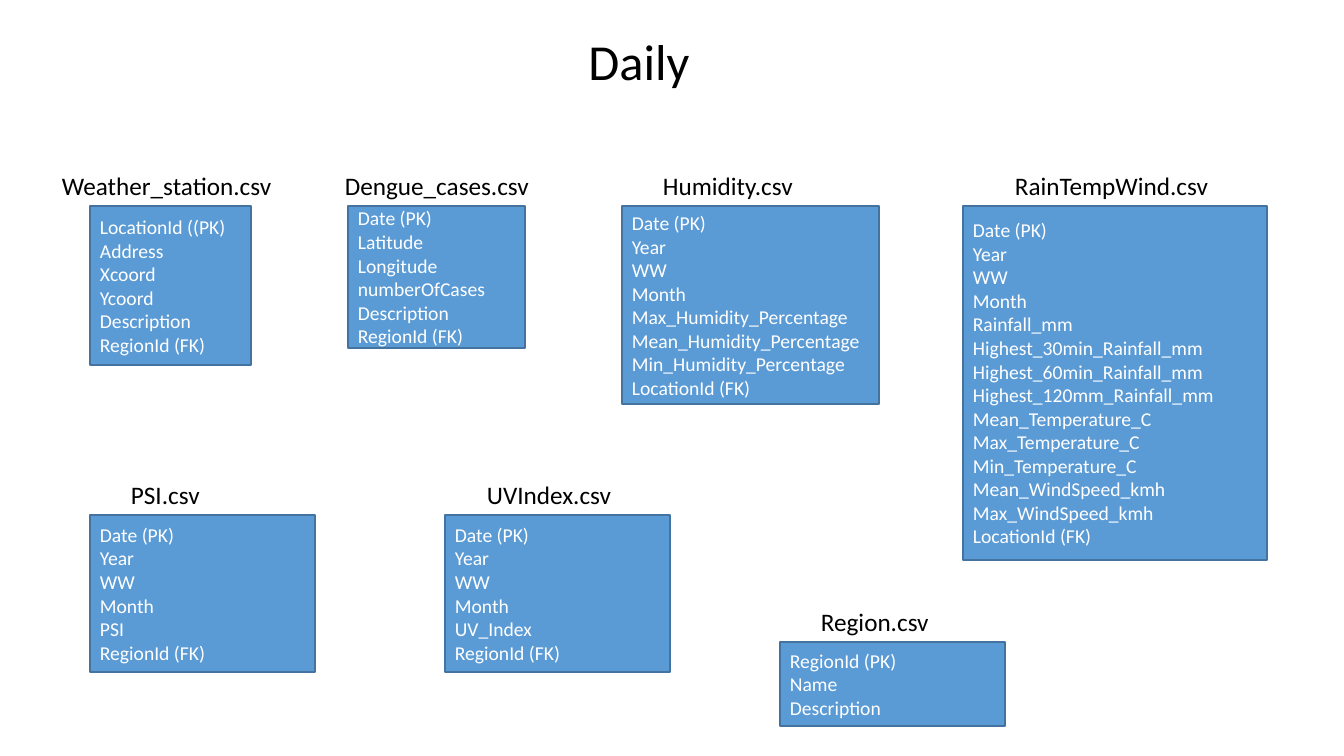
"""Build the slide of daily CSV tables with their columns and keys."""
import pptx
import pptx.dml.color
import pptx.enum.shapes
import pptx.enum.text
import pptx.util

PX = 12192000 / 1344
BLUE = pptx.dml.color.RGBColor(0x5B, 0x9B, 0xD5)
DARK_BLUE = pptx.dml.color.RGBColor(0x43, 0x73, 0x9E)
WHITE = pptx.dml.color.RGBColor(0xFF, 0xFF, 0xFF)
BLACK = pptx.dml.color.RGBColor(0x00, 0x00, 0x00)
LEFT = pptx.enum.text.PP_ALIGN.LEFT
CENTER = pptx.enum.text.PP_ALIGN.CENTER
LABEL_HEIGHT = 40
LABEL_RISE = 41


def px(*lengths):
    return [pptx.util.Emu(round(length * PX)) for length in lengths]


def write_lines(shape, lines, size, color, alignment=LEFT):
    frame = shape.text_frame
    frame.word_wrap = True
    for index, line in enumerate(lines):
        paragraph = frame.add_paragraph() if index else frame.paragraphs[0]
        paragraph.alignment = alignment
        run = paragraph.add_run()
        run.text = line
        run.font.name = "Calibri"
        run.font.size = pptx.util.Pt(size)
        run.font.color.rgb = color


presentation = pptx.Presentation()
presentation.slide_width, presentation.slide_height = px(1344, 756)
slide = presentation.slides.add_slide(presentation.slide_layouts[6])

DATE_COLUMNS = ["Date (PK)", "Year", "WW", "Month"]
tables = [
    ("Weather_station.csv", (52, 236), (90, 206, 161, 159),
     ["LocationId ((PK)", "Address", "Xcoord", "Ycoord", "Description", "RegionId (FK)"]),
    ("Dengue_cases.csv", (335, 207), (348, 206, 177, 142),
     ["Date (PK)", "Latitude", "Longitude", "numberOfCases", "Description", "RegionId (FK)"]),
    ("Humidity.csv", (653, 207), (622, 206, 257, 198),
     DATE_COLUMNS + ["Max_Humidity_Percentage", "Mean_Humidity_Percentage",
                     "Min_Humidity_Percentage", "LocationId (FK)"]),
    ("RainTempWind.csv", (1005, 234), (963, 206, 304, 354),
     DATE_COLUMNS + ["Rainfall_mm", "Highest_30min_Rainfall_mm", "Highest_60min_Rainfall_mm",
                     "Highest_120mm_Rainfall_mm", "Mean_Temperature_C", "Max_Temperature_C",
                     "Min_Temperature_C", "Mean_WindSpeed_kmh", "Max_WindSpeed_kmh",
                     "LocationId (FK)"]),
    ("PSI.csv", (121, 161), (90, 515, 225, 157),
     DATE_COLUMNS + ["PSI", "RegionId (FK)"]),
    ("UVIndex.csv", (477, 161), (445, 515, 225, 157),
     DATE_COLUMNS + ["UV_Index", "RegionId (FK)"]),
    ("Region.csv", (811, 161), (780, 642, 225, 84),
     ["RegionId (PK)", "Name", "Description"]),
]

title = slide.shapes.add_textbox(*px(364, 25, 550, 72))
write_lines(title, ["Daily"], 36, BLACK, CENTER)
title.text_frame.auto_size = pptx.enum.text.MSO_AUTO_SIZE.SHAPE_TO_FIT_TEXT

for file_name, (label_left, label_width), box, columns in tables:
    table_box = slide.shapes.add_shape(pptx.enum.shapes.MSO_SHAPE.RECTANGLE, *px(*box))
    table_box.shadow.inherit = False
    table_box.fill.solid()
    table_box.fill.fore_color.rgb = BLUE
    table_box.line.color.rgb = DARK_BLUE
    table_box.line.width = pptx.util.Pt(1)
    table_box.text_frame.vertical_anchor = pptx.enum.text.MSO_ANCHOR.MIDDLE
    write_lines(table_box, columns, 14, WHITE)

    label = slide.shapes.add_textbox(
        *px(label_left, box[1] - LABEL_RISE, label_width, LABEL_HEIGHT))
    write_lines(label, [file_name], 18, BLACK)
    label.text_frame.auto_size = pptx.enum.text.MSO_AUTO_SIZE.SHAPE_TO_FIT_TEXT

presentation.save("out.pptx")
